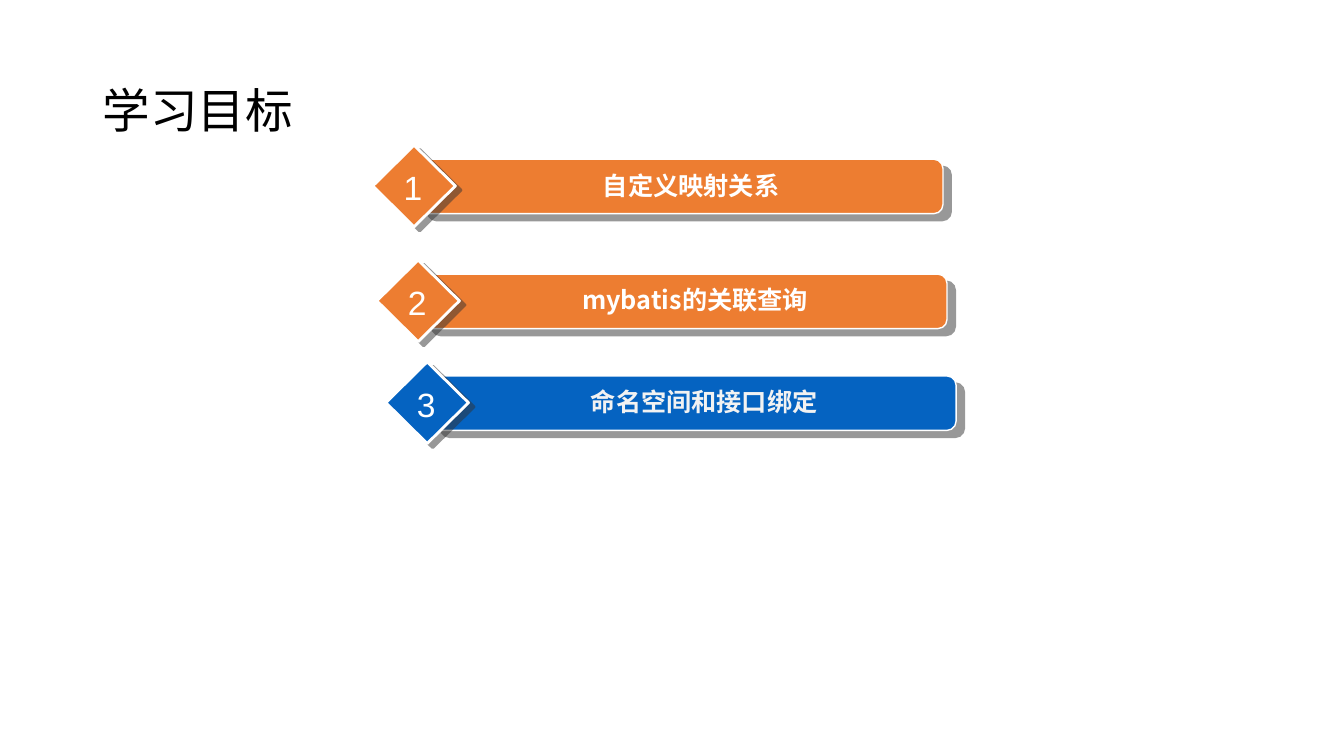
from dataclasses import dataclass

from lxml import etree
from pptx import Presentation
from pptx import util as u
from pptx.dml.color import RGBColor
from pptx.enum import lang, shapes, text
from pptx.oxml.ns import qn

WHITE = RGBColor(0xFF, 0xFF, 0xFF)
PALE = RGBColor(0xF2, 0xF2, 0xF2)
BLACK = RGBColor(0x00, 0x00, 0x00)
ORANGE = RGBColor(0xED, 0x7D, 0x31)
BLUE = RGBColor(0x05, 0x63, 0xC1)
SHADOW = RGBColor(0x33, 0x33, 0x33)
CJK_FONT = "Noto Sans CJK SC"

# The grid has square cells, ten to the inch
CELL = u.Inches(0.1)
COLUMNS, ROWS = 133.4, 75


@dataclass(frozen=True)
class Goal:
    number: int
    topic: str
    column: float
    row: float
    fill: RGBColor
    ink: RGBColor = WHITE
    font: str = CJK_FONT


@dataclass(frozen=True)
class Area:
    """Offset from the goal's corner and size, in grid cells."""
    column: float
    row: float
    width: float
    height: float

    def place(self, goal: Goal) -> tuple:
        cells = (goal.column + self.column, goal.row + self.row, self.width, self.height)
        return tuple(round(cell * CELL) for cell in cells)


BAR = Area(4.6, 1.4, 52, 5.4)
DIAMOND = Area(0, 0, 8.2, 8.1)
TOPIC = Area(7.3, 2.05, 48.6, 3.8)
NUMBER = Area(2.3, 1.75, 3.4, 4.8)

GOALS = [
    Goal(2, "mybatis的关联查询", 37.4, 25.8, ORANGE),
    Goal(3, "命名空间和接口绑定", 38.3, 35.9, BLUE, PALE, "Arial"),
    Goal(1, "自定义映射关系", 37, 14.4, ORANGE),
]


def write(frame, wording: str, *, size: float, color: RGBColor, font: str,
          bold: bool = False, align=text.PP_ALIGN.CENTER) -> None:
    paragraph = frame.paragraphs[0]
    paragraph.alignment = align
    run = paragraph.add_run()
    run.text = wording
    run.font.size = u.Pt(size)
    run.font.bold = bold
    run.font.color.rgb = color
    run.font.name = font
    run.font.language_id = lang.MSO_LANGUAGE_ID.SIMPLIFIED_CHINESE


def cast_shadow(shape, distance: float, degrees: int) -> None:
    shape.shadow.inherit = False
    effects = shape._element.spPr.find(qn("a:effectLst"))
    outer = etree.SubElement(effects, qn("a:outerShdw"), blurRad="0",
                             dist=str(u.Pt(distance)), dir=str(degrees * 60000),
                             algn="ctr", rotWithShape="0")
    color = etree.SubElement(outer, qn("a:srgbClr"), val=str(SHADOW))
    etree.SubElement(color, qn("a:alpha"), val="50000")


def add_plate(group, kind, area: Area, goal: Goal, line: float,
              distance: float, degrees: int) -> None:
    plate = group.shapes.add_shape(kind, *area.place(goal))
    plate.fill.solid()
    plate.fill.fore_color.rgb = goal.fill
    plate.line.color.rgb = WHITE
    plate.line.width = u.Pt(line)
    cast_shadow(plate, distance, degrees)


def add_label(group, wording: str, area: Area, goal: Goal, wrap: bool, **style) -> None:
    frame = group.shapes.add_textbox(*area.place(goal)).text_frame
    frame.word_wrap = wrap
    frame.auto_size = text.MSO_AUTO_SIZE.SHAPE_TO_FIT_TEXT
    frame.margin_left = frame.margin_right = u.Inches(0.07)
    frame.margin_top = frame.margin_bottom = u.Inches(0.04)
    write(frame, wording, **style)


def add_goal(slide, goal: Goal) -> None:
    group = slide.shapes.add_group_shape()
    add_plate(group, shapes.MSO_SHAPE.ROUNDED_RECTANGLE, BAR, goal, 1, 7.8, 40)
    add_plate(group, shapes.MSO_SHAPE.DIAMOND, DIAMOND, goal, 2, 5, 37)
    add_label(group, goal.topic, TOPIC, goal, True,
              size=18, color=goal.ink, font=goal.font, bold=True)
    add_label(group, str(goal.number), NUMBER, goal, False,
              size=24, color=WHITE, font="Arial")


def add_heading(slide, wording: str) -> None:
    heading = slide.shapes.title
    heading.left, heading.top = round(9.2 * CELL), 4 * CELL
    heading.width, heading.height = 115 * CELL, round(14.5 * CELL)
    frame = heading.text_frame
    frame.vertical_anchor = text.MSO_ANCHOR.MIDDLE
    write(frame, wording, size=34, color=BLACK, font="Calibri", align=text.PP_ALIGN.LEFT)
    frame.paragraphs[0].line_spacing = 0.9


def main() -> None:
    deck = Presentation()
    deck.slide_width, deck.slide_height = round(COLUMNS * CELL), ROWS * CELL
    title_only = deck.slide_layouts[5]
    slide = deck.slides.add_slide(title_only)

    # Heading, then one numbered bar per goal
    add_heading(slide, "学习目标")
    for goal in GOALS:
        add_goal(slide, goal)

    deck.save("out.pptx")


if __name__ == "__main__":
    main()
